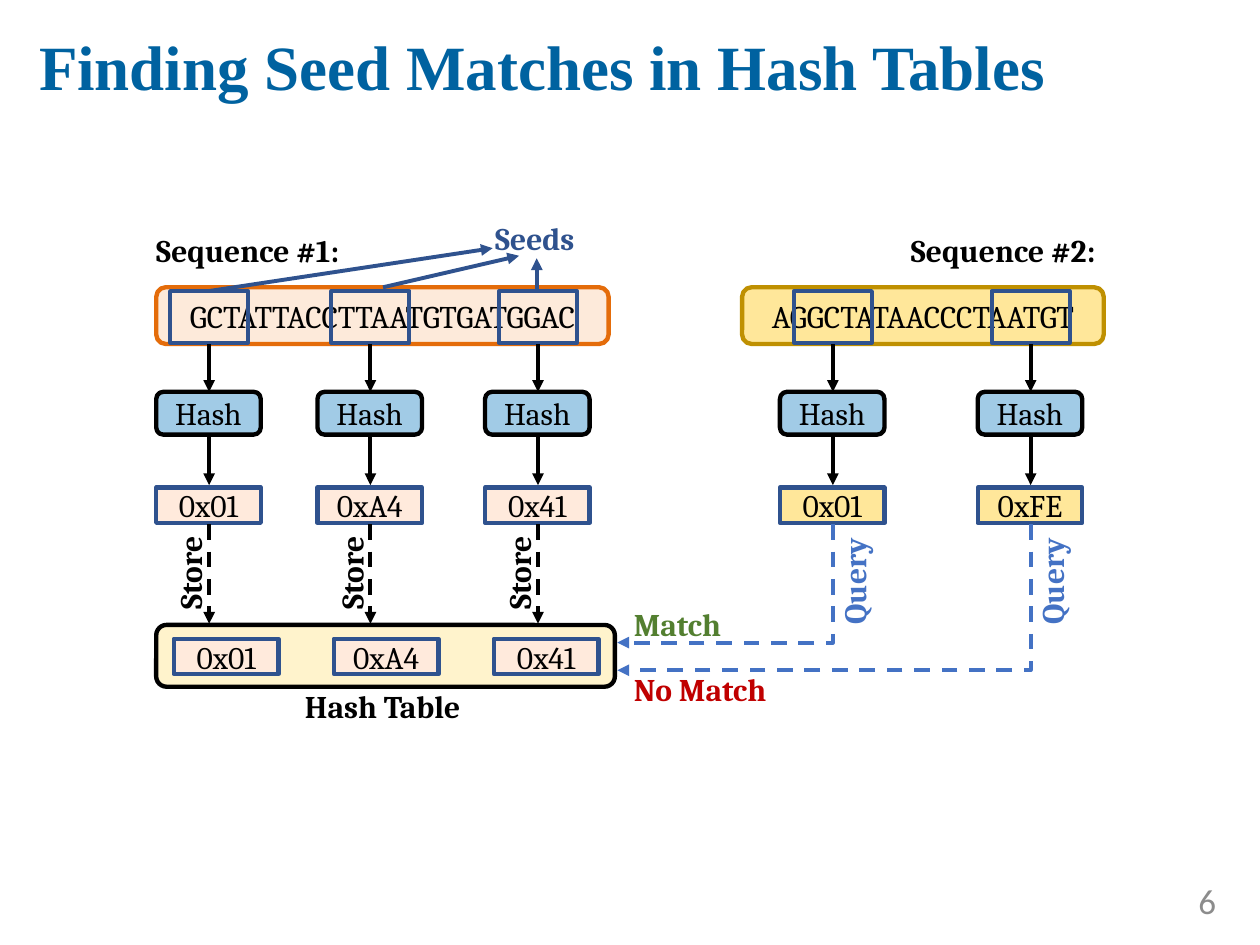
from lxml import etree
from pptx import Presentation
from pptx import util as u
from pptx.dml.color import RGBColor
from pptx.enum import dml, shapes, text
from pptx.oxml.ns import qn

INK, NAVY, BLUE = "000000", "2F528E", "4472C4"
PEACH, GOLD = "FFEADC", "FFE79A"
RECT = shapes.MSO_SHAPE.RECTANGLE
ROUND = shapes.MSO_SHAPE.ROUNDED_RECTANGLE

# Column centre, hash value
STORED = [(1.66, "0x01"), (2.94, "0xA4"), (4.27, "0x41")]
ASKED = [(6.61, "0x01"), (8.18, "0xFE")]


def color(code):
    return RGBColor.from_string(code)


def style(frame, size, face, tint, bold=False):
    for run in frame.paragraphs[0].runs:
        font = run.font
        font.size, font.name, font.bold = u.Pt(size), face, bold
        font.color.rgb = color(tint)


def clear(frame):
    frame.margin_left = frame.margin_right = 0
    frame.margin_top = frame.margin_bottom = 0


def box(slide, kind, x, y, w, h, fill=None, edge=NAVY, words="", wide=2.5):
    shape = slide.shapes.add_shape(
        kind, u.Inches(x), u.Inches(y), u.Inches(w), u.Inches(h))
    shape.shadow.inherit = False
    if fill:
        shape.fill.solid()
        shape.fill.fore_color.rgb = color(fill)
    else:
        shape.fill.background()
    shape.line.color.rgb = color(edge)
    shape.line.width = u.Pt(wide)
    if words:
        frame = shape.text_frame
        clear(frame)
        frame.word_wrap = False
        frame.vertical_anchor = text.MSO_ANCHOR.MIDDLE
        frame.text = words
        frame.paragraphs[0].alignment = text.PP_ALIGN.CENTER
        style(frame, 18, "Cambria", INK)


def label(slide, x, y, w, words, tint=INK, turn=0):
    shape = slide.shapes.add_textbox(
        u.Inches(x), u.Inches(y), u.Inches(w), u.Inches(0.3))
    shape.rotation = turn
    frame = shape.text_frame
    clear(frame)
    frame.word_wrap = False
    frame.text = words
    style(frame, 18, "Cambria", tint, True)


def arrow(slide, x, y, to_x, to_y, tint=INK, dash=False, bent=False):
    kind = shapes.MSO_CONNECTOR.ELBOW if bent else shapes.MSO_CONNECTOR.STRAIGHT
    link = slide.shapes.add_connector(
        kind, u.Inches(x), u.Inches(y), u.Inches(to_x), u.Inches(to_y))
    link.line.color.rgb = color(tint)
    link.line.width = u.Pt(2.25)
    if dash:
        link.line.dash_style = dml.MSO_LINE.DASH
    props = link._element.spPr
    etree.SubElement(props.find(qn("a:ln")), qn("a:tailEnd"), type="triangle")
    etree.SubElement(props, qn("a:effectLst"))
    if bent:  # drop straight down first, then turn
        geom = props.find(qn("a:prstGeom"))
        guides = geom.find(qn("a:avLst"))
        if guides is None:
            guides = etree.SubElement(geom, qn("a:avLst"))
        etree.SubElement(guides, qn("a:gd"), name="adj1", fmla="val 0")


def lane(slide, mid, code, fill):
    """One seed, its hash function and its hash value."""
    box(slide, RECT, mid - 0.31, 2.31, 0.62, 0.41, wide=2.25)
    arrow(slide, mid, 2.73, mid, 3.11)
    box(slide, ROUND, mid - 0.42, 3.11, 0.83, 0.34, "A1CBE6", INK, "Hash")
    arrow(slide, mid, 3.46, mid, 3.85)
    box(slide, RECT, mid - 0.42, 3.87, 0.83, 0.28, fill, words=code)


def heading(slide):
    title = slide.shapes.title
    title.left, title.top = u.Inches(0.21), u.Inches(0.1)
    title.width, title.height = u.Inches(9.62), u.Inches(0.84)
    frame = title.text_frame
    frame.text = "Finding Seed Matches in Hash Tables"
    frame.vertical_anchor = text.MSO_ANCHOR.MIDDLE
    frame.paragraphs[0].alignment = text.PP_ALIGN.LEFT
    style(frame, 36, "Times New Roman", "0062A0", True)


def number(slide):
    shape = slide.shapes.add_textbox(
        u.Inches(8.67), u.Inches(6.95), u.Inches(1.08), u.Inches(0.4))
    frame = shape.text_frame
    frame.word_wrap = True
    frame.vertical_anchor = text.MSO_ANCHOR.MIDDLE
    frame.text = "6"
    frame.paragraphs[0].alignment = text.PP_ALIGN.RIGHT
    style(frame, 20, "Calibri", "8C8C8C")


def main():
    deck = Presentation()
    deck.slide_width, deck.slide_height = u.Inches(10), u.Inches(7.5)
    slide = deck.slides.add_slide(deck.slide_layouts[5])
    heading(slide)
    number(slide)

    # Sequences
    label(slide, 1.24, 1.83, 1.53, "Sequence #1:")
    label(slide, 7.23, 1.83, 1.53, "Sequence #2:")
    box(slide, ROUND, 1.24, 2.28, 3.59, 0.45, "FDEADA", "E46C0A",
        "GCTATTACCTTAATGTGATGGAC")
    box(slide, ROUND, 5.89, 2.28, 2.87, 0.45, GOLD, "BF9001",
        "AGGCTATAACCCTAATGT")

    # Hash table
    box(slide, ROUND, 1.24, 4.96, 3.64, 0.49, "FFF3CC", INK)
    label(slide, 2.42, 5.45, 1.28, "Hash Table")

    # Stored seeds
    for i, (mid, code) in enumerate(STORED):
        lane(slide, mid, code, PEACH)
        arrow(slide, mid, 4.16, mid, 4.95, dash=True)
        label(slide, mid - 0.46, 4.38, 0.61, "Store", turn=270)
        box(slide, RECT, 1.38 + 1.27 * i, 5.07, 0.83, 0.28, PEACH, words=code)

    # Queried seeds
    for (mid, code), end in zip(ASKED, (5.1, 5.32)):
        lane(slide, mid, code, GOLD)
        arrow(slide, mid, 4.16, 4.9, end, BLUE, dash=True, bent=True)
        label(slide, mid - 0.19, 4.45, 0.71, "Query", BLUE, 270)
    label(slide, 5.03, 4.8, 0.71, "Match", "537F30")
    label(slide, 5.03, 5.32, 1.08, "No Match", "C00000")

    # Seed pointers
    label(slide, 3.93, 1.74, 0.66, "Seeds", NAVY)
    for ends in ((1.66, 2.31, 3.91, 1.97), (3.04, 2.28, 4.12, 2.03),
                 (4.26, 2.31, 4.26, 2.05)):
        arrow(slide, *ends, NAVY)

    deck.save("out.pptx")


if __name__ == "__main__":
    main()
